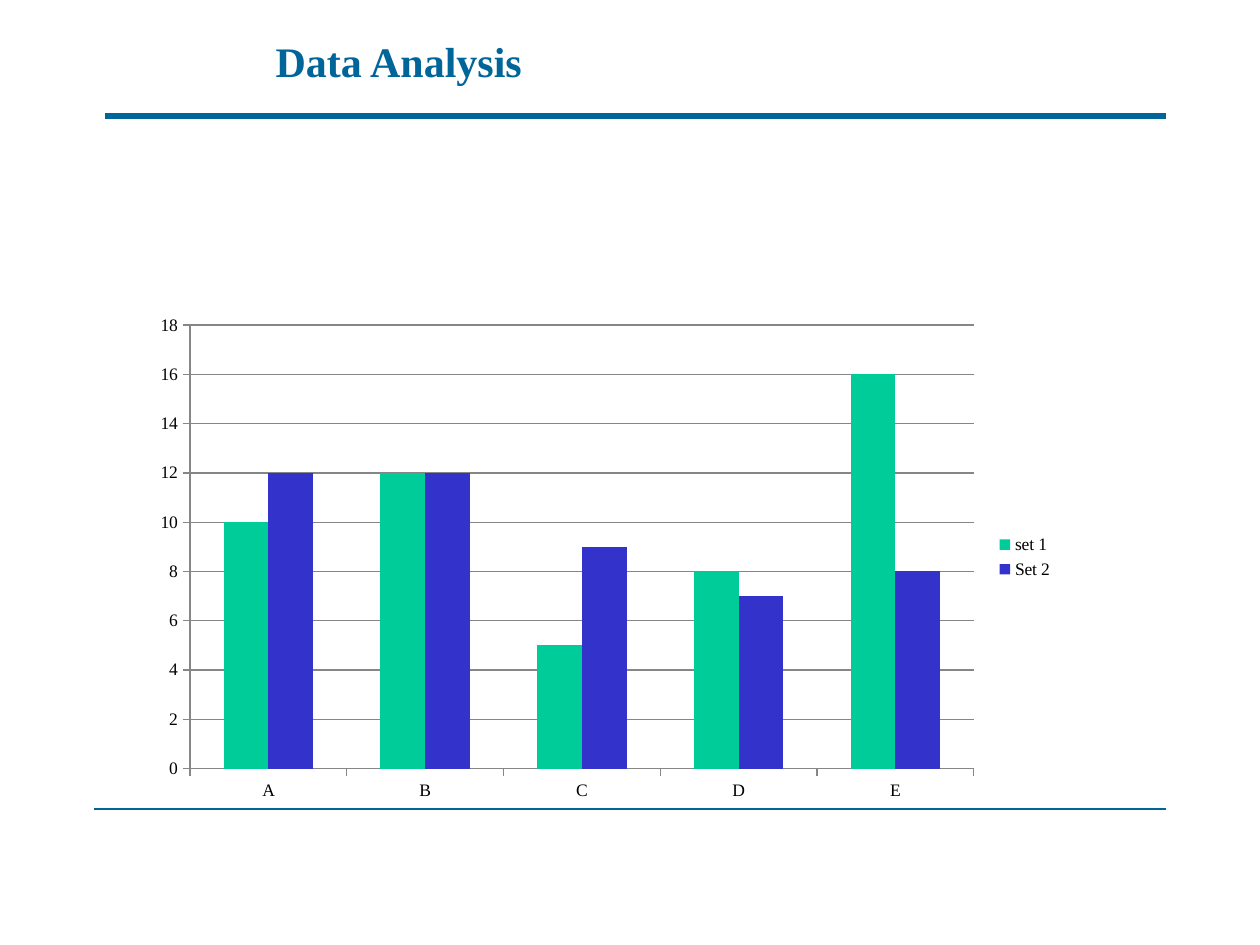
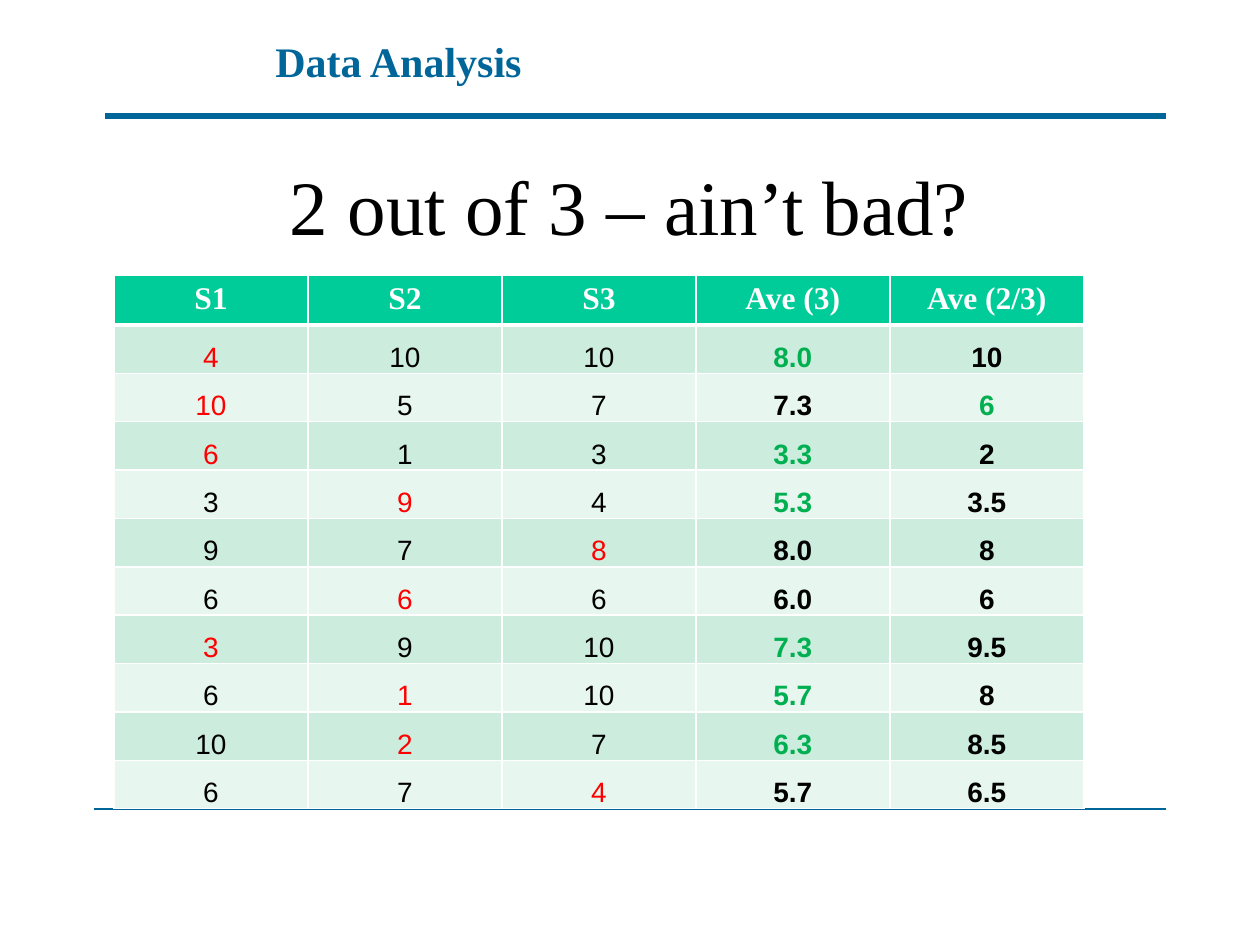
from dataclasses import dataclass

from lxml import etree
from pptx import Presentation
from pptx.chart.data import CategoryChartData
from pptx.dml.color import RGBColor
from pptx.enum.chart import XL_CHART_TYPE, XL_LEGEND_POSITION, XL_TICK_MARK
from pptx.enum.shapes import MSO_CONNECTOR
from pptx.enum.text import MSO_ANCHOR, MSO_AUTO_SIZE, PP_ALIGN
from pptx.oxml.ns import qn
from pptx.util import Pt

EMU_PER_PX = 914400 / 126
TITLE_ONLY = 5
LEFT, CENTER = PP_ALIGN.LEFT, PP_ALIGN.CENTER
TOP, MIDDLE, BOTTOM = MSO_ANCHOR.TOP, MSO_ANCHOR.MIDDLE, MSO_ANCHOR.BOTTOM
CLUSTERED = XL_CHART_TYPE.COLUMN_CLUSTERED
LEGEND_RIGHT = XL_LEGEND_POSITION.RIGHT
TICK_OUTSIDE = XL_TICK_MARK.OUTSIDE
STRAIGHT = MSO_CONNECTOR.STRAIGHT
NO_AUTOFIT = MSO_AUTO_SIZE.NONE


@dataclass(frozen=True)
class Theme:
    serif: str = "Times New Roman"
    sans: str = "Arial"
    heading: str = "006699"
    text: str = "000000"
    white: str = "FFFFFF"
    green: str = "00CC99"
    blue: str = "3333CC"
    grid: str = "868686"
    dropped: str = "FF0000"
    best: str = "00B050"
    rows: tuple = ("CCECDE", "E7F6EF")
    heading_size: int = 24
    title_size: int = 44
    header_size: int = 18
    cell_size: int = 16
    chart_size: int = 10


THEME = Theme()
HEADING = "Data Analysis"
HEADING_BOX = (263, 29, 665, 63)

CATEGORIES = ("A", "B", "C", "D", "E")
SERIES = (
    ("set 1", (10, 12, 5, 8, 16), THEME.green),
    ("Set 2", (12, 12, 9, 7, 8), THEME.blue),
)

SCORE_HEADERS = ("S1", "S2", "S3", "Ave (3)", "Ave (2/3)")
FIRST_AVERAGE = 3
# Each row: texts, column of the dropped score, column of the best average
SCORES = (
    (("4", "10", "10", "8.0", "10"), 0, 3),
    (("10", "5", "7", "7.3", "6"), 0, 4),
    (("6", "1", "3", "3.3", "2"), 0, 3),
    (("3", "9", "4", "5.3", "3.5"), 1, 3),
    (("9", "7", "8", "8.0", "8"), 2, None),
    (("6", "6", "6", "6.0", "6"), 1, None),
    (("3", "9", "10", "7.3", "9.5"), 0, 3),
    (("6", "1", "10", "5.7", "8"), 1, 3),
    (("10", "2", "7", "6.3", "8.5"), 1, 3),
    (("6", "7", "4", "5.7", "6.5"), 2, None),
)


def px(length):
    return round(length * EMU_PER_PX)


def rgb(color):
    return RGBColor.from_string(color)


def style_font(font, name, size, color, bold=False):
    font.name = name
    font.size = Pt(size)
    font.color.rgb = rgb(color)
    font.bold = bold


def write_text(shape, text, size, color, bold, align, anchor):
    frame = shape.text_frame
    frame.text = text
    frame.word_wrap = True
    frame.auto_size = NO_AUTOFIT
    frame.vertical_anchor = anchor
    paragraph = frame.paragraphs[0]
    paragraph.alignment = align
    style_font(paragraph.font, THEME.serif, size, color, bold)


def place(shape, box):
    shape.left, shape.top, shape.width, shape.height = map(px, box)


def add_rule(slide, left, right, y, weight):
    line = slide.shapes.add_connector(STRAIGHT, px(left), px(y), px(right), px(y))
    line.line.color.rgb = rgb(THEME.heading)
    line.line.width = Pt(weight)
    etree.SubElement(line._element.spPr, qn("a:effectLst"))


def add_slide(presentation, title=None):
    """Add a slide with heading and rules; without its own title, the heading is the title."""
    slide = presentation.slides.add_slide(presentation.slide_layouts[TITLE_ONLY])
    heading = slide.shapes.title
    if title:
        place(slide.shapes.title, (94, 126, 1071, 158))
        write_text(slide.shapes.title, title, THEME.title_size, THEME.text,
                   False, CENTER, MIDDLE)
        heading = slide.shapes.add_textbox(*map(px, HEADING_BOX))
    place(heading, HEADING_BOX)
    write_text(heading, HEADING, THEME.heading_size, THEME.heading, True, LEFT, TOP)
    add_rule(slide, 105, 1166, 116, 3)
    add_rule(slide, 94, 1166, 809, 0.75)
    return slide


def set_plot_layout(chart, **fractions):
    """Fix the inner plot area as fractions of the chart."""
    plot_area = chart._chartSpace.chart.plotArea
    for old_layout in plot_area.findall(qn("c:layout")):
        plot_area.remove(old_layout)
    layout = etree.Element(qn("c:layout"))
    plot_area.insert(0, layout)
    manual = etree.SubElement(layout, qn("c:manualLayout"))
    settings = {"layoutTarget": "inner", "xMode": "edge", "yMode": "edge", **fractions}
    for name, value in settings.items():
        etree.SubElement(manual, qn(f"c:{name}")).set("val", str(value))


def style_line(line):
    line.color.rgb = rgb(THEME.grid)
    line.width = Pt(0.75)


def add_column_chart(slide, box):
    data = CategoryChartData()
    data.categories = CATEGORIES
    for name, values, _ in SERIES:
        data.add_series(name, values)
    chart = slide.shapes.add_chart(CLUSTERED, *map(px, box), data).chart
    style_font(chart.font, THEME.serif, THEME.chart_size, THEME.text)
    chart.has_title = False
    chart.has_legend = True
    chart.legend.position = LEGEND_RIGHT
    chart.legend.include_in_layout = False
    set_plot_layout(chart, x=0.05, y=0.04, w=0.85, h=0.88)

    plot = chart.plots[0]
    plot.gap_width = 150
    plot.overlap = 0
    plot.vary_by_categories = False
    for series, (_, _, color) in zip(plot.series, SERIES):
        series.format.fill.solid()
        series.format.fill.fore_color.rgb = rgb(color)
    for axis in (chart.category_axis, chart.value_axis):
        axis.major_tick_mark = TICK_OUTSIDE
        style_line(axis.format.line)
    value_axis = chart.value_axis
    value_axis.minimum_scale, value_axis.maximum_scale = 0, 18
    value_axis.major_unit = 2
    value_axis.has_major_gridlines = True
    style_line(value_axis.major_gridlines.format.line)


def set_borders(cell, top=1, bottom=1):
    properties = cell._tc.get_or_add_tcPr()
    for side, weight in (("L", 1), ("R", 1), ("T", top), ("B", bottom)):
        line = etree.SubElement(properties, qn(f"a:ln{side}"), w=str(Pt(weight)))
        fill = etree.SubElement(line, qn("a:solidFill"))
        etree.SubElement(fill, qn("a:srgbClr"), val=THEME.white)


def fill_cell(cell, text, fill, anchor, font_style, **borders):
    set_borders(cell, **borders)
    cell.fill.solid()
    cell.fill.fore_color.rgb = rgb(fill)
    cell.vertical_anchor = anchor
    cell.text = text
    paragraph = cell.text_frame.paragraphs[0]
    paragraph.alignment = CENTER
    style_font(paragraph.font, *font_style)


def score_color(column, dropped, best):
    if column == dropped:
        return THEME.dropped
    return THEME.best if column == best else THEME.text


def add_score_table(slide, left, top, column_width, header_height, body_height):
    columns = len(SCORE_HEADERS)
    table = slide.shapes.add_table(
        len(SCORES) + 1, columns, px(left), px(top),
        px(column_width * columns), px(header_height + body_height)).table
    for column in table.columns:
        column.width = px(column_width)
    for row in table.rows:
        row.height = px(body_height / len(SCORES))
    table.rows[0].height = px(header_height)

    header_style = (THEME.serif, THEME.header_size, THEME.white, True)
    for column, text in enumerate(SCORE_HEADERS):
        fill_cell(table.cell(0, column), text, THEME.green, TOP, header_style, bottom=3)
    for row, (texts, dropped, best) in enumerate(SCORES, start=1):
        for column, text in enumerate(texts):
            cell = table.cell(row, column)
            cell.margin_left = cell.margin_right = cell.margin_top = px(1)
            cell.margin_bottom = 0
            style = (THEME.sans, THEME.cell_size, score_color(column, dropped, best),
                     column >= FIRST_AVERAGE)
            fill_cell(cell, text, THEME.rows[(row - 1) % 2], BOTTOM, style,
                      top=3 if row == 1 else 1)


def main():
    presentation = Presentation()
    presentation.slide_width, presentation.slide_height = px(1260), px(945)
    add_column_chart(add_slide(presentation), (144, 305, 922, 504))
    scores_slide = add_slide(presentation, "2 out of 3 – ain’t bad?")
    add_score_table(scores_slide, left=114, top=275, column_width=194,
                    header_height=50, body_height=484)
    presentation.save("out.pptx")


if __name__ == "__main__":
    main()
